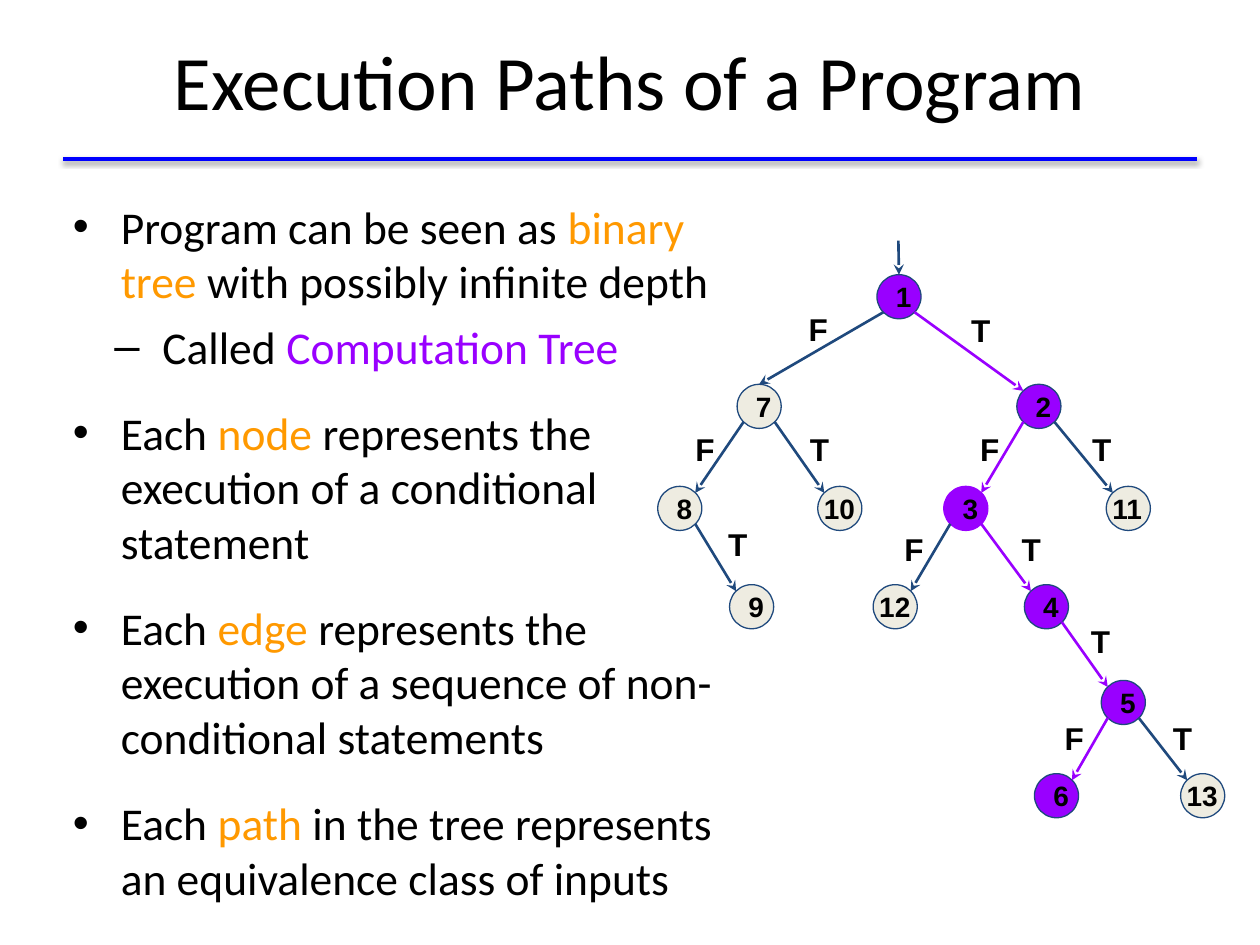
from lxml import etree
from pptx import Presentation
from pptx.dml.color import RGBColor
from pptx.enum.shapes import MSO_CONNECTOR, MSO_SHAPE
from pptx.enum.text import MSO_ANCHOR, PP_ALIGN
from pptx.oxml import parse_xml
from pptx.oxml.ns import nsdecls, qn
from pptx.util import Inches, Pt

STRAIGHT, OVAL = MSO_CONNECTOR.STRAIGHT, MSO_SHAPE.OVAL
TOP, MIDDLE = MSO_ANCHOR.TOP, MSO_ANCHOR.MIDDLE
LEFT, CENTER = PP_ALIGN.LEFT, PP_ALIGN.CENTER

BLACK, BLUE, NAVY = "000000", "0000FF", "1F497D"
ORANGE, PURPLE, CREAM = "FF9900", "9900FF", "EEECE1"
NODE = 0.35
ROWS = [2.18, 3.05, 3.86, 4.64, 5.4, 6.14]

# number: (left, row, lies on the highlighted path)
NODES = {
    1: (6.96, 0, True), 2: (8.07, 1, True), 3: (7.49, 2, True),
    4: (8.13, 3, True), 5: (8.74, 4, True), 6: (8.21, 5, True),
    7: (5.85, 1, False), 8: (5.22, 2, False), 9: (5.79, 3, False),
    10: (6.49, 2, False), 11: (8.78, 2, False),
    12: (6.93, 3, False), 13: (9.37, 5, False),
}
# parent, child, branch, left and top of the branch label
EDGES = [
    (1, 7, "F", 6.32, 2.36), (1, 2, "T", 7.61, 2.37),
    (7, 8, "F", 5.42, 3.31), (7, 10, "T", 6.33, 3.31),
    (8, 9, "T", 5.68, 4.07), (2, 3, "F", 7.68, 3.31),
    (2, 11, "T", 8.57, 3.31), (3, 12, "F", 7.08, 4.11),
    (3, 4, "T", 8.01, 4.11), (4, 5, "T", 8.56, 4.84),
    (5, 6, "F", 8.35, 5.61), (5, 13, "T", 9.21, 5.61),
]
# level, space before, runs of (text, colour)
BULLETS = [
    (0, 6, [("Program can be seen as ", BLACK), ("binary tree ", ORANGE),
            ("with possibly infinite depth", BLACK)]),
    (1, 6, [("Called ", BLACK), ("Computation Tree", PURPLE)]),
    (0, 18, [("Each ", BLACK), ("node", ORANGE),
             (" represents the execution of a conditional statement", BLACK)]),
    (0, 18, [("Each ", BLACK), ("edge ", ORANGE),
             ("represents the execution of a sequence of non-conditional statements", BLACK)]),
    (0, 18, [("Each ", BLACK), ("path", ORANGE),
             (" in the tree represents an equivalence class of inputs", BLACK)]),
]


def write(shape, paragraphs, font, size, bold=False, align=LEFT, anchor=TOP, inset=0.1):
    """Fill a shape with paragraphs, each a list of (text, colour) runs."""
    frame = shape.text_frame
    settings = {"word_wrap": True, "vertical_anchor": anchor,
                "margin_left": Inches(0.1), "margin_right": Inches(0.1),
                "margin_top": Inches(inset), "margin_bottom": Inches(inset)}
    for name, value in settings.items():
        setattr(frame, name, value)
    for index, runs in enumerate(paragraphs):
        paragraph = frame.add_paragraph() if index else frame.paragraphs[0]
        paragraph.alignment = align
        for text, color in runs:
            run = paragraph.add_run()
            run.text = text
            for name, value in {"name": font, "size": Pt(size), "bold": bold}.items():
                setattr(run.font, name, value)
            run.font.color.rgb = RGBColor.from_string(color)


def add_line(start, end, color, width, arrow=True):
    line = slide.shapes.add_connector(STRAIGHT, *map(Inches, start + end))
    line.line.color.rgb = RGBColor.from_string(color)
    line.line.width = Pt(width)
    if arrow:
        etree.SubElement(line.line._get_or_add_ln(), qn("a:tailEnd"), type="stealth")
    etree.SubElement(line._element.spPr, qn("a:effectLst"))
    return line


presentation = Presentation()
presentation.slide_width, presentation.slide_height = Inches(10), Inches(7.5)
slide = presentation.slides.add_slide(presentation.slide_layouts[6])

# Title and its shadowed rule
title = slide.shapes.add_textbox(*map(Inches, (0.5, 0.01, 9, 1.25)))
write(title, [[("Execution Paths of a Program", BLACK)]], "Calibri", 44,
      align=CENTER, anchor=MIDDLE)
rule = add_line((0.5, 1.26), (9.5, 1.26), BLUE, 2, arrow=False)
rule._element.spPr.find(qn("a:effectLst")).append(parse_xml(
    f'<a:outerShdw {nsdecls("a")} blurRad="40000" dist="20000" dir="5400000" rotWithShape="0">'
    '<a:srgbClr val="000000"><a:alpha val="38000"/></a:srgbClr></a:outerShdw>'))

# Bulleted text
body = slide.shapes.add_textbox(*map(Inches, (0.42, 1.53, 5.38, 5.83)))
write(body, [runs for _, _, runs in BULLETS], "Calibri", 26, inset=0.05)
for paragraph, (level, space, _) in zip(body.text_frame.paragraphs, BULLETS):
    paragraph.level = level
    paragraph.space_before = Pt(space)
    properties = paragraph._p.get_or_add_pPr()
    properties.set("marL", str(Inches((0.44, 0.77)[level])))
    properties.set("indent", str(Inches(-0.38)))
    bullet_color = etree.SubElement(properties, qn("a:buClr"))
    etree.SubElement(bullet_color, qn("a:srgbClr"), val=BLACK)
    etree.SubElement(properties, qn("a:buFont"), typeface="Arial")
    etree.SubElement(properties, qn("a:buChar"), char="•–"[level])

# Tree nodes; two-digit numbers need a box wider than the circle
circles = {}
for number, (left, row, on_path) in NODES.items():
    top = ROWS[row]
    circle = slide.shapes.add_shape(OVAL, *map(Inches, (left, top, NODE, NODE)))
    circle.shadow.inherit = False
    circle.fill.solid()
    circle.fill.fore_color.rgb = RGBColor.from_string(PURPLE if on_path else CREAM)
    circle.line.color.rgb = RGBColor.from_string(PURPLE if number == 3 else NAVY)
    circle.line.width = Pt(0.75)
    circles[number] = circle
    holder, align = circle, CENTER
    if number > 9:
        holder = slide.shapes.add_textbox(*map(Inches, (left - 0.05, top - 0.08, 0.57, 0.51)))
        align = LEFT
    write(holder, [[(str(number), BLACK)]], "Arial", 16, bold=True, align=align, anchor=MIDDLE)

# Edges run between the diagonal points of the circles
near, far = 0.15 * NODE, 0.85 * NODE
for parent, child, branch, label_left, label_top in EDGES:
    parent_left, parent_row, _ = NODES[parent]
    child_left, child_row, on_path = NODES[child]
    leave, arrive = (near, far) if branch == "F" else (far, near)
    edge = add_line((parent_left + leave, ROWS[parent_row] + far),
                    (child_left + arrive, ROWS[child_row] + near),
                    PURPLE if on_path else NAVY, 1.5)
    if child == 7:
        edge.end_connect(circles[child], 0)
    label = slide.shapes.add_textbox(*map(Inches, (label_left, label_top, 0.31, 0.35)))
    write(label, [[(branch, BLACK)]], "Arial", 18, bold=True)

entry = add_line((7.13, 1.91), (7.13, 2.18), NAVY, 1.5)
entry.end_connect(circles[1], 0)

presentation.save("out.pptx")
